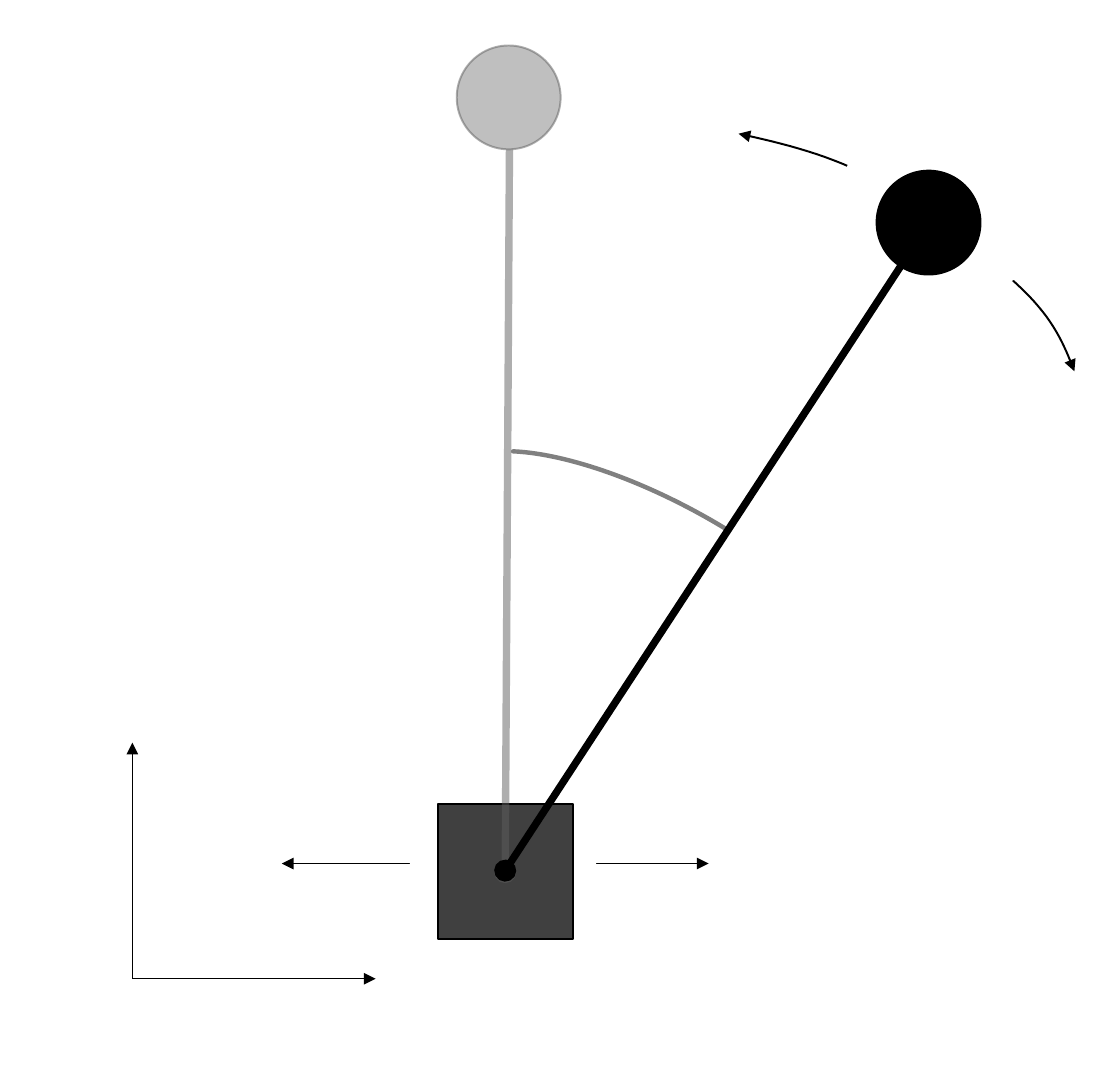
from lxml import etree
from pptx import Presentation
from pptx.dml.color import RGBColor
from pptx.enum.shapes import MSO_CONNECTOR, MSO_SHAPE
from pptx.oxml.ns import qn
from pptx.util import Inches, Pt

STRAIGHT = MSO_CONNECTOR.STRAIGHT
RECT, OVAL, ARC = MSO_SHAPE.RECTANGLE, MSO_SHAPE.OVAL, MSO_SHAPE.BLOCK_ARC
BLACK, WHITE, GREY = "000000", "FFFFFF", "5F5F5F"
CURVE_STEPS = 16


def style(sp, line=None, width=1, fill=None, alpha=None, head=None, tail=None):
    """Set line, fill, opacity in percent and line ends, without a shadow."""
    if line:
        sp.line.color.rgb = RGBColor.from_string(line)
        sp.line.width = Pt(width)
    else:
        sp.line.fill.background()
    if fill:
        sp.fill.solid()
        sp.fill.fore_color.rgb = RGBColor.from_string(fill)
    elif hasattr(sp, "fill"):
        sp.fill.background()
    spPr = sp._element.spPr
    if alpha:
        for clr in spPr.iter(qn("a:srgbClr")):
            etree.SubElement(clr, qn("a:alpha"), val=str(alpha * 1000))
    for tag, end in (("a:headEnd", head), ("a:tailEnd", tail)):
        if end:
            etree.SubElement(spPr.find(qn("a:ln")), qn(tag), type=end)
    etree.SubElement(spPr, qn("a:effectLst"))


def bezier(p0, p1, p2, p3):
    """Points along a cubic curve, without its start."""
    for i in range(1, CURVE_STEPS + 1):
        t = i / CURVE_STEPS
        u = 1 - t
        yield tuple(Inches(u**3 * a + 3 * u * u * t * b + 3 * u * t * t * c + t**3 * d)
                    for a, b, c, d in zip(p0, p1, p2, p3))


prs = Presentation()
prs.slide_width, prs.slide_height = Inches(7.87), Inches(7.5)
s = prs.slides.add_slide(prs.slide_layouts[6])

# Swing arrow: three cubic curves, end to start
swing = [(7.55, 2.61), (7.48, 2.43), (7.41, 2.25), (7.18, 2.03), (6.94, 1.8),
         (6.5, 1.45), (6.17, 1.27), (5.84, 1.09), (5.51, 1.01), (5.19, 0.94)]
points = [pt for i in range(0, 9, 3) for pt in bezier(*swing[i:i + 4])]
builder = s.shapes.build_freeform(*(Inches(v) for v in swing[0]))
builder.add_line_segments(points, close=False)
style(builder.convert_to_shape(), BLACK, head="triangle", tail="triangle")

# Remaining parts from back to front: preset, box or end points, rotation, format
cart_move = dict(line=BLACK, width=0.5, head="triangle", tail="triangle")
axis = dict(line=BLACK, width=0.5, tail="triangle")
parts = [
    (OVAL, (5.94, 0.6, 1.55, 1.47), 0, dict(line=WHITE, fill=WHITE)),
    (STRAIGHT, (1.98, 6.07, 4.98, 6.07), 0, cart_move),
    (RECT, (2.88, 5.49, 1.31, 1.31), 0, dict(fill=WHITE)),
    (RECT, (3.08, 5.65, 0.95, 0.95), 0, dict(line=BLACK, fill="404040")),
    (STRAIGHT, (0.93, 6.88, 2.64, 6.88), 0, axis),
    (STRAIGHT, (0.93, 6.88, 0.93, 5.22), 0, axis),
    (STRAIGHT, (3.58, 1.05, 3.55, 6.13), 0, dict(line=GREY, width=3.75, alpha=50, tail="oval")),
    (OVAL, (3.21, 0.32, 0.73, 0.73), 0, dict(line=GREY, fill="808080", alpha=50)),
    (ARC, (2.96, 3.54, 3.35, 1.18), 28.8, dict(line="808080", width=2.25)),
    (STRAIGHT, (6.33, 1.87, 3.55, 6.12), 0, dict(line=BLACK, width=3.75, tail="oval")),
    (OVAL, (6.16, 1.2, 0.73, 0.73), 32.9, dict(line=BLACK, fill=BLACK)),
]
for kind, place, rotation, fmt in parts:
    place = [Inches(v) for v in place]
    if kind is STRAIGHT:
        sp = s.shapes.add_connector(kind, *place)
    else:
        sp = s.shapes.add_shape(kind, *place)
        sp.rotation = rotation
    if kind is ARC:
        for i, value in enumerate((116.46, 175.04, 0)):
            sp.adjustments[i] = value
    style(sp, **fmt)

prs.save("out.pptx")
